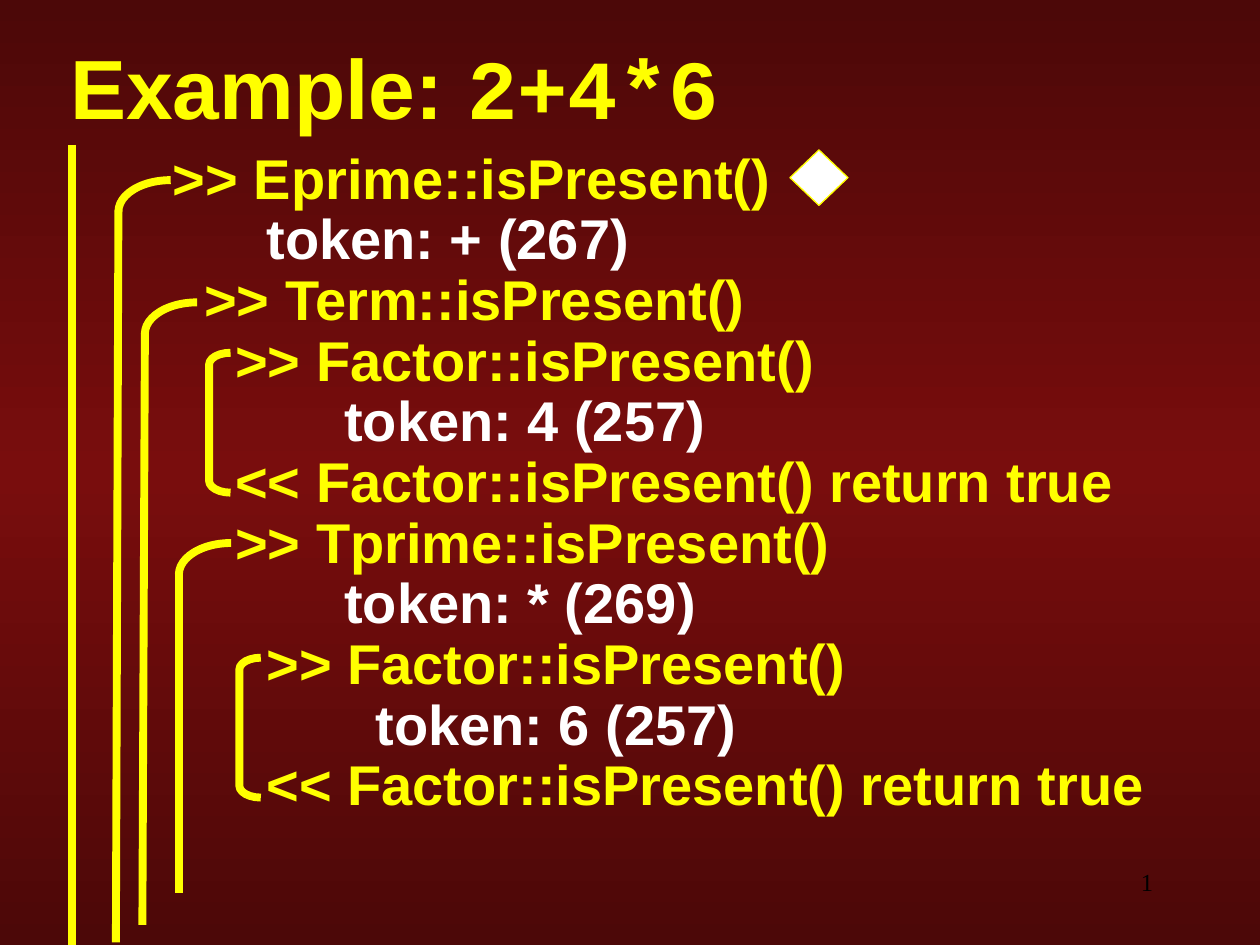
from copy import deepcopy

from lxml import etree
from pptx import Presentation
from pptx import util as u
from pptx.dml.color import RGBColor
from pptx.enum import shapes, text
from pptx.oxml import parse_xml
from pptx.oxml.ns import nsdecls, qn

YELLOW = RGBColor(0xFF, 0xFF, 0x00)
WHITE = RGBColor(0xFF, 0xFF, 0xFF)
BLACK = RGBColor(0x00, 0x00, 0x00)
DARK_RED = RGBColor(0x4C, 0x08, 0x08)
RED = RGBColor(0x79, 0x0D, 0x0D)

COLUMNS, ROWS = 100, 75
WIDTH, HEIGHT = u.Inches(10), u.Inches(7.5)
TRACE_SIZE = 32
SPACE_WIDTH = u.Pt(8.9)  # one blank of bold Arial at the trace size

# (indent in blanks, words)
TRACE = [
    (4, ">> Eprime::isPresent()"),
    (10, "token: + (267)"),
    (6, ">> Term::isPresent()"),
    (8, ">> Factor::isPresent()"),
    (15, "token: 4 (257)"),
    (8, "<< Factor::isPresent() return true"),
    (8, ">> Tprime::isPresent()"),
    (15, "token: * (269)"),
    (10, ">> Factor::isPresent()"),
    (17, "token: 6 (257)"),
    (10, "<< Factor::isPresent() return true"),
]
# Calls still open: (left, top, foot column, foot row)
OPEN_CALLS = [(14.2, 43.1, 14.2, 70.9), (11.5, 24, 11.3, 73.4), (9.4, 14.3, 9.2, 74.8)]
# Calls that returned: (left, top)
CLOSED_CALLS = [(16.6, 28), (19, 52.2)]


class Painter:
    """Holds the style and the current slide; lengths are grid columns and rows."""

    def __init__(self, page):
        self.page = page
        self.line_width = 4.5

    def place(self, left, top, width, height):
        across, down = WIDTH / COLUMNS, HEIGHT / ROWS
        return [round(n) for n in (left * across, top * down, width * across, height * down)]

    def background(self, edge, middle):
        fill = self.page.background.fill
        fill.gradient()
        fill.gradient_angle = 90
        stops = self.page.element.find(".//" + qn("a:gsLst"))
        stops.insert(1, deepcopy(stops[0]))
        for stop, position, color in zip(fill.gradient_stops, (0, 0.5, 1), (edge, middle, edge)):
            stop.position = position
            stop.color.rgb = color

    def textbox(self, *area, anchor=text.MSO_ANCHOR.TOP):
        frame = self.page.shapes.add_textbox(*self.place(*area)).text_frame
        frame.word_wrap = True
        frame.vertical_anchor = anchor
        return frame

    def style(self, font, size, color, name="Arial", bold=True):
        font.size, font.name, font.bold = u.Pt(size), name, bold
        font.color.rgb = color

    def title(self, spans, *area):
        para = self.textbox(*area, anchor=text.MSO_ANCHOR.MIDDLE).paragraphs[0]
        for words, name in spans:
            span = para.add_run()
            span.text = words
            self.style(span.font, 48, YELLOW, name)
            shadow = parse_xml(
                f'<a:effectLst {nsdecls("a")}><a:outerShdw dist="25400" dir="2700000">'
                '<a:srgbClr val="C0C0C0"/></a:outerShdw></a:effectLst>')
            span.font._element.find(qn("a:solidFill")).addnext(shadow)

    def trace(self, lines, *area):
        frame = self.textbox(*area)
        for index, (blanks, words) in enumerate(lines):
            para = frame.add_paragraph() if index else frame.paragraphs[0]
            para.text = words
            para.line_spacing = 0.85
            para.space_before = u.Pt(2 if index else 0)
            para._p.get_or_add_pPr().set("marL", str(blanks * SPACE_WIDTH))
            color = WHITE if words.startswith("token") else YELLOW
            self.style(para.font, TRACE_SIZE, color)

    def page_number(self, number, *area):
        para = self.textbox(*area).paragraphs[0]
        para.alignment = text.PP_ALIGN.RIGHT
        self.style(para.font, 14, BLACK, "Times New Roman", bold=False)
        field = etree.SubElement(para._p, qn("a:fld"), type="slidenum",
                                 id="{B6F15528-21DE-4FAA-801E-634DDDAF4B2B}")
        properties = etree.SubElement(field, qn("a:rPr"))
        self.style(text_font(properties), 14, BLACK, "Times New Roman", bold=False)
        etree.SubElement(field, qn("a:t")).text = str(number)

    def shape(self, kind, *area, fill=None, width=None, adjustments=()):
        item = self.page.shapes.add_shape(kind, *self.place(*area))
        item.shadow.inherit = False
        for index, value in enumerate(adjustments):
            item.adjustments[index] = value
        if fill is None:
            item.fill.background()
        else:
            item.fill.solid()
            item.fill.fore_color.rgb = fill
        item.line.color.rgb = YELLOW
        item.line.width = u.Pt(width or self.line_width)

    def line(self, *ends):
        item = self.page.shapes.add_connector(shapes.MSO_CONNECTOR.STRAIGHT, *self.place(*ends))
        item.line.color.rgb = YELLOW
        item.line.width = u.Pt(self.line_width)
        etree.SubElement(item._element.spPr, qn("a:effectLst"))

    def closed_call(self, left, top):
        self.shape(shapes.MSO_SHAPE.LEFT_BRACKET, left, top, 1.7, 11.1, adjustments=[0.55])

    def open_call(self, left, top, foot_column, foot_row):
        """A quarter arc that runs on into a long stem."""
        self.shape(shapes.MSO_SHAPE.ARC, left, top, 8.3, 5, adjustments=[108, 162])
        self.line(left, top + 2.4, foot_column, foot_row)


def text_font(properties):
    return text_module.Font(properties)


from pptx.text import text as text_module


def main():
    deck = Presentation()
    deck.slide_width, deck.slide_height = WIDTH, HEIGHT
    painter = Painter(deck.slides.add_slide(deck.slide_layouts[6]))
    painter.background(DARK_RED, RED)
    painter.title([("Example: ", "Arial"), ("2+4*6", "Courier New")], 4.6, 2.7, 95, 8.3)
    painter.trace(TRACE, 7.8, 11.7, 92, 63.3)
    for call in CLOSED_CALLS:
        painter.closed_call(*call)
    for call in OPEN_CALLS:
        painter.open_call(*call)
    painter.line(5.7, 11.5, 5.7, 75)
    painter.shape(shapes.MSO_SHAPE.DIAMOND, 62.7, 11.9, 4.6, 4.4, fill=WHITE, width=0.75)
    painter.page_number(3, 82.5, 68.3, 10, 3.5)
    deck.save("out.pptx")


if __name__ == "__main__":
    main()
